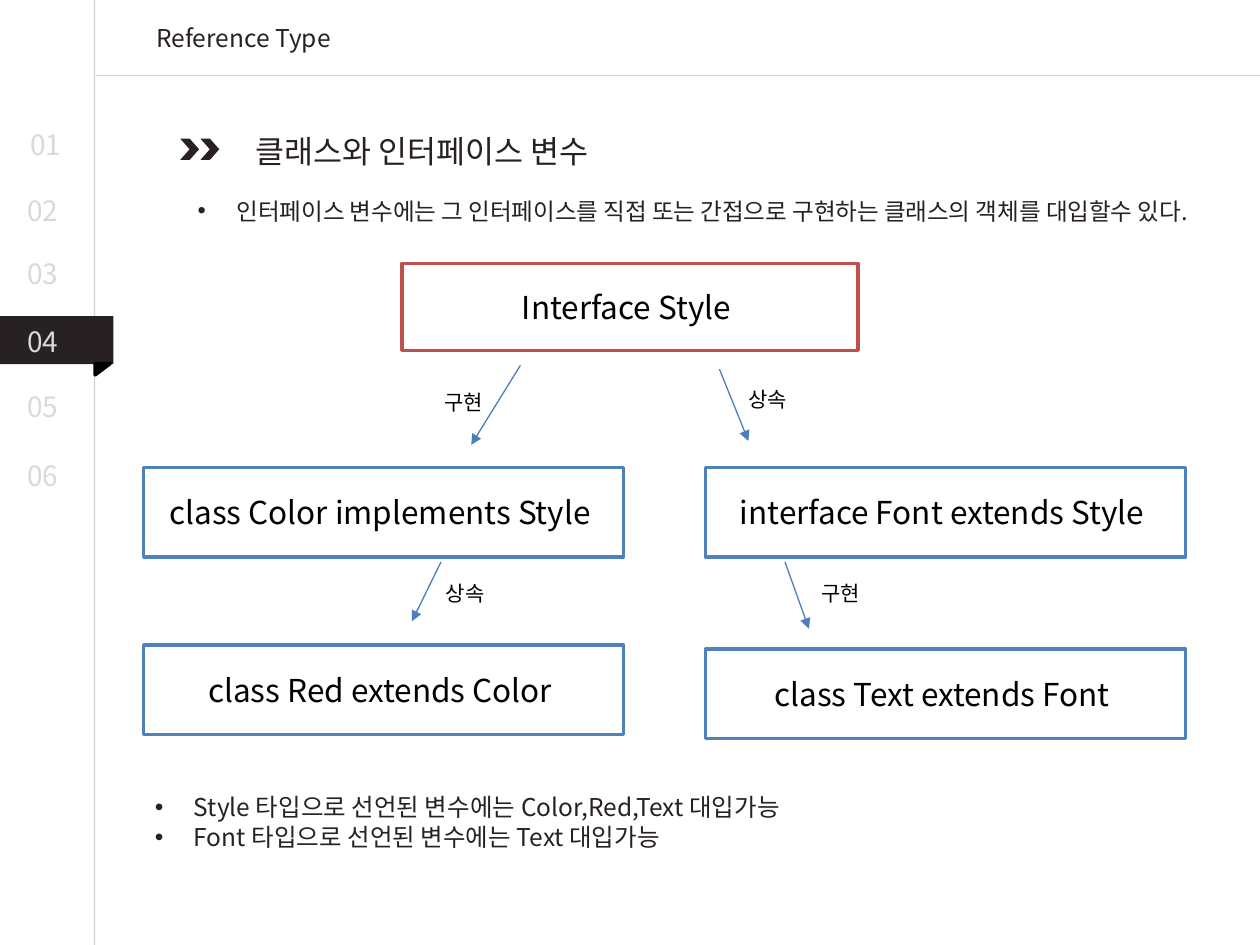
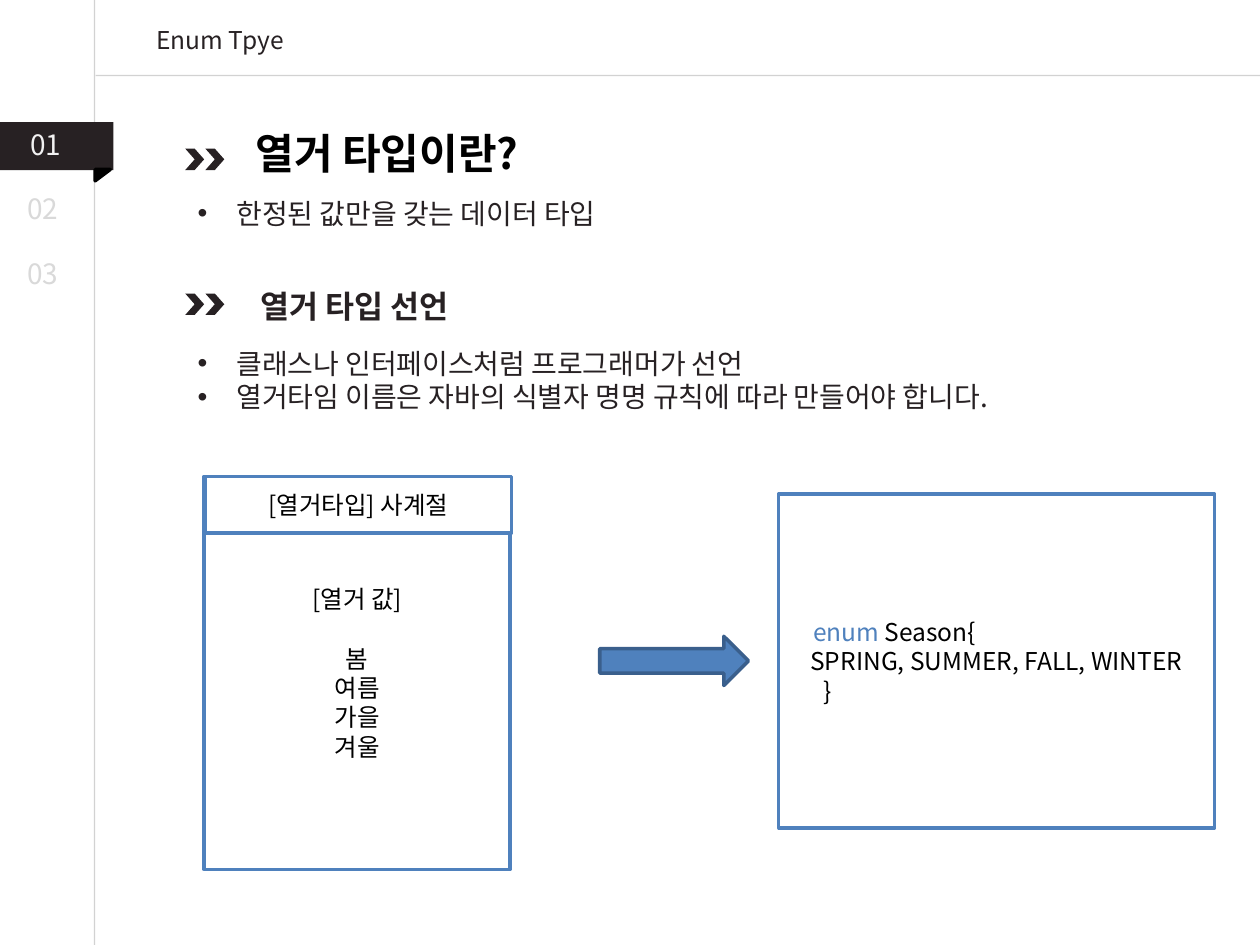
import pptx
import pptx.util
import pptx.dml.color
import pptx.enum.shapes
import pptx.enum.text
import pptx.oxml
import pptx.oxml.ns
from lxml import etree

Inches = pptx.util.Inches
Pt = pptx.util.Pt
RGBColor = pptx.dml.color.RGBColor
Shapes = pptx.enum.shapes.MSO_SHAPE
Anchor = pptx.enum.text.MSO_ANCHOR
Align = pptx.enum.text.PP_ALIGN
AutoSize = pptx.enum.text.MSO_AUTO_SIZE
qn = pptx.oxml.ns.qn

FONT = "Noto Sans CJK KR"
INK = RGBColor(0x27, 0x21, 0x23)
BLACK = RGBColor(0, 0, 0)
WHITE = RGBColor(0xFF, 0xFF, 0xFF)
RULE = RGBColor(0xA6, 0xA6, 0xA6)
MUTED = RGBColor(0xD9, 0xD9, 0xD9)
BRIGHT = RGBColor(0xF2, 0xF2, 0xF2)
BLUE = RGBColor(0x4F, 0x81, 0xBD)
DARK_BLUE = RGBColor(0x3A, 0x5F, 0x8C)
ARROW_BLUE = RGBColor(0x4B, 0x7E, 0xBC)
RED = RGBColor(0xC0, 0x50, 0x4D)


class Deck:
    def __init__(self):
        self.presentation = pptx.Presentation()
        self.presentation.slide_width = Inches(10)
        self.presentation.slide_height = Inches(7.5)
        self.slide = None

    def add_text_run(self, paragraph, text, size, color, bold=False):
        run = paragraph.add_run()
        run.text = text
        font = run.font
        font.name, font.size, font.bold = FONT, Pt(size), bold
        font.color.rgb = color
        latin = font._element.find(qn("a:latin"))
        east_asian = etree.Element(qn("a:ea"), typeface=FONT)
        latin.addnext(east_asian)

    def add_bullet(self, paragraph):
        properties = paragraph._p.get_or_add_pPr()
        properties.set("marL", str(Inches(0.31)))
        properties.set("indent", str(-Inches(0.31)))
        etree.SubElement(properties, qn("a:buFont"), typeface="Arial")
        etree.SubElement(properties, qn("a:buChar"), char="•")

    def fill_frame(self, frame, lines, size, color, bold=False, align=Align.LEFT, bullets=False):
        for index, line in enumerate(lines):
            paragraph = frame.add_paragraph() if index else frame.paragraphs[0]
            paragraph.alignment = align
            if bullets:
                self.add_bullet(paragraph)
            self.add_text_run(paragraph, line, size, color, bold)

    def text(self, left, top, width, height, lines, size, color=INK, wrap=True, **style):
        box = self.slide.shapes.add_textbox(Inches(left), Inches(top), Inches(width), Inches(height))
        frame = box.text_frame
        frame.word_wrap = wrap
        frame.auto_size = AutoSize.SHAPE_TO_FIT_TEXT
        self.fill_frame(frame, lines, size, color, **style)

    def shape(self, kind, left, top, width, height, fill, line=None):
        shape = self.slide.shapes.add_shape(
            kind, Inches(left), Inches(top), Inches(width), Inches(height))
        shape.shadow.inherit = False
        shape.fill.solid()
        shape.fill.fore_color.rgb = fill
        if line is None:
            shape.line.fill.background()
        else:
            shape.line.color.rgb = line
            shape.line.width = Pt(2)
        return shape

    def box(self, left, top, width, height, lines, size, line=BLUE):
        shape = self.shape(Shapes.RECTANGLE, left, top, width, height, WHITE, line)
        shape.text_frame.word_wrap = True
        shape.text_frame.vertical_anchor = Anchor.MIDDLE
        self.fill_frame(shape.text_frame, lines, size, BLACK, align=Align.CENTER)
        return shape

    def line(self, start, end, color, arrow=False, opacity=None):
        points = [Inches(value) for value in (*start, *end)]
        connector = self.slide.shapes.add_connector(
            pptx.enum.shapes.MSO_CONNECTOR.STRAIGHT, *points)
        connector.line.color.rgb = color
        connector.line.width = Pt(0.75)
        properties = connector._element.spPr
        outline = properties.find(qn("a:ln"))
        if opacity:
            etree.SubElement(outline.find(".//" + qn("a:srgbClr")), qn("a:alpha"),
                             val=str(opacity * 1000))
        if arrow:
            etree.SubElement(outline, qn("a:tailEnd"), type="triangle")
        etree.SubElement(properties, qn("a:effectLst"))

    def heading(self, text, left, top, width, height, size, chevron_left, chevron_top, **style):
        for offset in (0, 0.16):
            self.shape(Shapes.CHEVRON, chevron_left + offset, chevron_top, 0.15, 0.17, INK)
        self.text(left, top, width, height, [text], size, **style)

    def bullets(self, left, top, width, height, lines, size):
        self.text(left, top, width, height, lines, size, bullets=True)

    def new_slide(self, title, title_top, number_tops, active, ribbon_top, active_color):
        self.slide = self.presentation.slides.add_slide(self.presentation.slide_layouts[5])
        # Title
        placeholder = self.slide.shapes.title
        placeholder.left, placeholder.top = Inches(1.14), Inches(title_top)
        placeholder.width, placeholder.height = Inches(3.7), Inches(0.34)
        frame = placeholder.text_frame
        frame.auto_size = AutoSize.NONE
        frame.vertical_anchor = Anchor.TOP
        self.fill_frame(frame, [title], 14, INK)
        # Rules
        self.line((0.75, 0), (0.75, 7.5), RULE, opacity=50)
        self.line((10, 0.6), (0.76, 0.6), RULE, opacity=50)
        # Chapter ribbon and numbers
        self.shape(Shapes.RECTANGLE, 0, ribbon_top, 0.9, 0.38, INK)
        fold = self.shape(Shapes.RIGHT_TRIANGLE, 0.77, ribbon_top + 0.36, 0.09, 0.12, BLACK, BLACK)
        fold.rotation = 90
        for number, top in enumerate(number_tops, 1):
            color = active_color if number == active else MUTED
            left = 0.14 if number == 1 else 0.12
            self.text(left, top, 0.5, 0.37, [f"{number:02}"], 16, color)


def reference_type(deck):
    deck.new_slide("Reference Type", 0.13, (0.96, 1.49, 1.99, 2.53, 3.04, 3.59), 4, 2.51, MUTED)
    deck.heading("클래스와 인터페이스 변수", 1.93, 1, 3.2, 0.4, 18, 1.43, 1.1)
    deck.bullets(1.47, 1.51, 8.26, 0.33, [
        "인터페이스 변수에는 그 인터페이스를 직접 또는 간접으로 구현하는 클래스의 객체를 대입할수 있다."], 13.5)

    # Type hierarchy
    deck.box(3.19, 2.09, 3.62, 0.69, ["Interface Style "], 18, RED)
    for left, top, label in (
            (1.14, 3.71, "class Color implements Style "),
            (5.6, 3.71, "interface Font extends Style "),
            (1.14, 5.12, "class Red extends Color "),
            (5.6, 5.15, "class Text extends Font ")):
        deck.box(left, top, 3.81, 0.71, [label], 18)

    # Relations between the types
    for start, end, label, label_left, label_top in (
            ((4.13, 2.9), (3.74, 3.53), "구현", 3.43, 3.04),
            ((5.71, 2.93), (5.94, 3.5), "상속", 5.84, 3.02),
            ((3.5, 4.46), (3.27, 4.93), "상속", 3.44, 4.56),
            ((6.23, 4.46), (6.42, 4.99), "구현", 6.42, 4.56)):
        deck.line(start, end, ARROW_BLUE, arrow=True)
        deck.text(label_left, label_top, 0.51, 0.3, [label], 12, BLACK, wrap=False)

    deck.bullets(1.13, 6.24, 5.88, 0.57, [
        "Style 타입으로 선언된 변수에는 Color,Red,Text 대입가능",
        "Font 타입으로 선언된 변수에는 Text 대입가능"], 14)


def enum_type(deck):
    deck.new_slide("Enum Tpye", 0.15, (0.96, 1.47, 1.99), 1, 0.97, BRIGHT)
    deck.heading("열거 타입이란?", 1.93, 0.96, 2.93, 0.5, 24, 1.47, 1.18, color=BLACK, bold=True)
    deck.bullets(1.47, 1.51, 8.26, 0.37, ["한정된 값만을 갖는 데이터 타입"], 16)
    deck.heading("열거 타입 선언", 1.97, 2.23, 3.2, 0.4, 18, 1.47, 2.33, bold=True)
    deck.bullets(1.47, 2.7, 8.26, 0.64, [
        "클래스나 인터페이스처럼 프로그래머가 선언",
        "열거타임 이름은 자바의 식별자 명명 규칙에 따라 만들어야 합니다."], 16)

    # Season values
    values = deck.box(1.62, 3.78, 2.43, 3.12, ["[열거 값]", "봄", "여름", "가을", "겨울"], 14)
    values.text_frame.paragraphs[0].space_after = Pt(17)
    deck.box(1.63, 3.78, 2.43, 0.45, ["[열거타입] 사계절"], 14)
    deck.shape(Shapes.RIGHT_ARROW, 4.76, 5.05, 1.18, 0.39, BLUE, DARK_BLUE)

    # Season code
    code = deck.box(6.18, 3.92, 3.46, 2.65, [], 14).text_frame
    keyword_line = code.paragraphs[0]
    keyword_line.alignment = Align.LEFT
    for text, color in (("    ", BLACK), ("enum", BLUE), (" Season{", BLACK)):
        deck.add_text_run(keyword_line, text, 14, color)
    for text, align in (("SPRING, SUMMER, FALL, WINTER", Align.CENTER), ("      }", Align.LEFT)):
        paragraph = code.add_paragraph()
        paragraph.alignment = align
        deck.add_text_run(paragraph, text, 14, BLACK)


def main():
    deck = Deck()
    reference_type(deck)
    enum_type(deck)
    deck.presentation.save("out.pptx")


if __name__ == "__main__":
    main()
